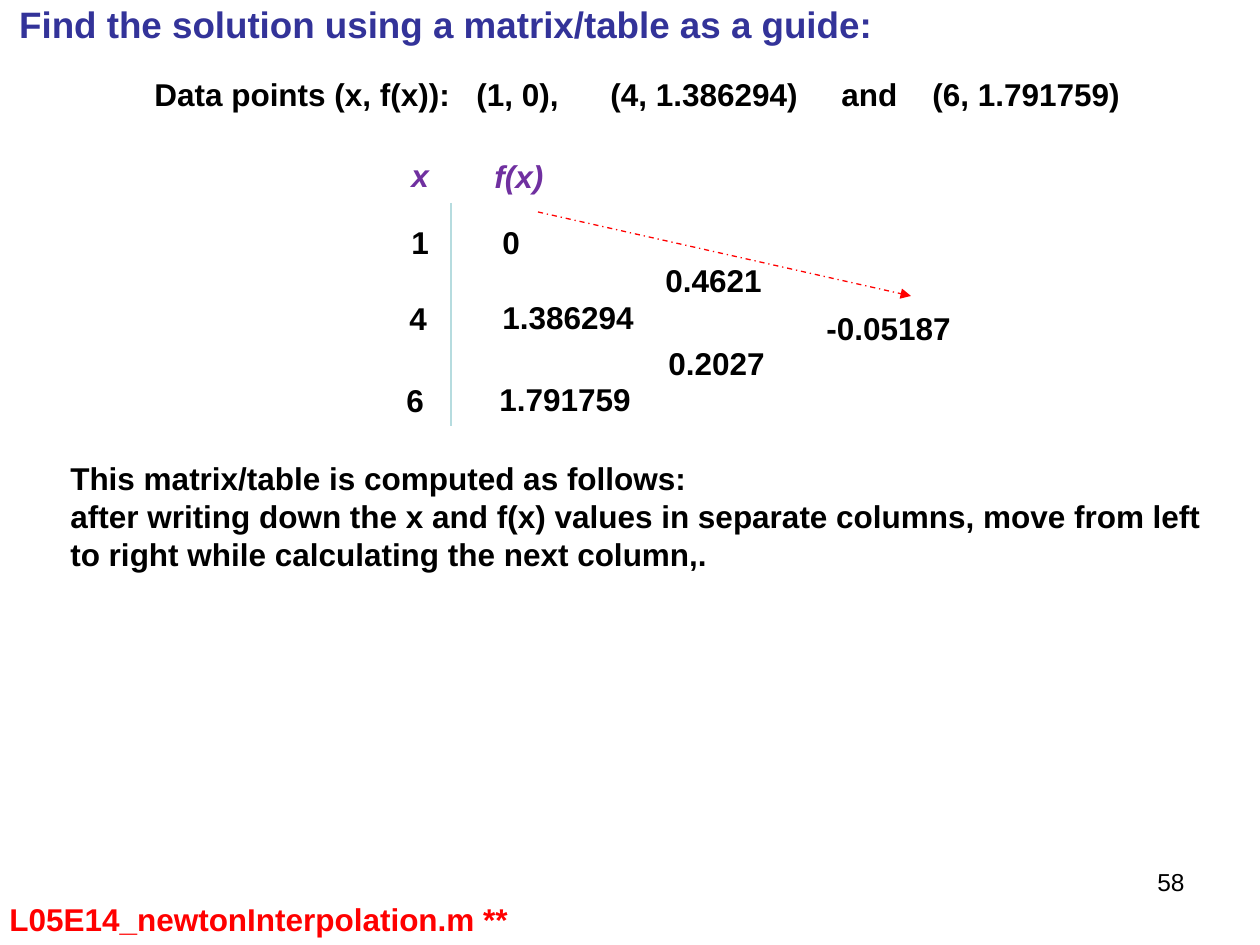
import pptx
import pptx.dml.color
import pptx.enum.dml
import pptx.enum.shapes
import pptx.enum.text
import pptx.oxml.ns
import pptx.util
from lxml import etree

PX = 914400 / 126
COLORS = {
    "title": "333399",
    "text": "000000",
    "header": "7030A0",
    "divider": "B6DCDF",
    "accent": "FF0000",
}
ALIGN = pptx.enum.text.PP_ALIGN


def write(shape, box, text, size=18, color="text", bold=True, italic=False,
          align=ALIGN.LEFT, wrap=False):
    """Place a text shape at box (left, top, width, height in px) and format it."""
    shape.left, shape.top, shape.width, shape.height = (round(v * PX) for v in box)
    frame = shape.text_frame
    frame.text = text
    frame.word_wrap = wrap
    for paragraph in frame.paragraphs:
        paragraph.alignment = align
        for run in paragraph.runs:
            run.font.name = "Arial"
            run.font.size = pptx.util.Pt(size)
            run.font.bold = bold
            run.font.italic = italic
            run.font.color.rgb = pptx.dml.color.RGBColor.from_string(COLORS[color])
    return shape


def draw_line(start, end, color):
    line = slide.shapes.add_connector(
        pptx.enum.shapes.MSO_CONNECTOR.STRAIGHT,
        *(round(v * PX) for v in (*start, *end)))
    line.line.color.rgb = pptx.dml.color.RGBColor.from_string(COLORS[color])
    line.line.width = pptx.util.Pt(0.75)
    etree.SubElement(line._element.spPr, pptx.oxml.ns.qn("a:effectLst"))
    return line


prs = pptx.Presentation()
prs.slide_width = round(1260 * PX)
prs.slide_height = round(945 * PX)
slide = prs.slides.add_slide(prs.slide_layouts[5])
blank_box = (0, 0, 0, 0)

title = write(slide.shapes.title, (2, -5, 888, 57),
              "Find the solution using a matrix/table as a guide:",
              size=21, color="title", align=ALIGN.CENTER)
title.text_frame.vertical_anchor = pptx.enum.text.MSO_ANCHOR.MIDDLE

# Data points, spaced with tab stops
data_points = write(
    slide.shapes.add_textbox(*blank_box), (142, 69, 1010, 50),
    "Data points (x, f(x)):\t(1, 0),\t(4, 1.386294)\tand\t(6, 1.791759)", wrap=True)
properties = data_points.text_frame.paragraphs[0]._p.get_or_add_pPr()
tab_stops = etree.SubElement(properties, pptx.oxml.ns.qn("a:tabLst"))
for offset in (322, 456, 687, 778):
    etree.SubElement(tab_stops, pptx.oxml.ns.qn("a:tab"),
                     pos=str(round(offset * PX)), algn="l")

# Divided difference table: text, left, top, width
headers = [("x", 399, 150, 43), ("f(x)", 482, 151, 74)]
values = [
    ("1", 399, 217, 43), ("4", 397, 293, 43), ("6", 394, 375, 43),
    ("0", 490, 217, 43), ("1.386294", 490, 292, 158), ("1.791759", 487, 374, 158),
    ("0.4621", 653, 255, 122), ("0.2027", 656, 338, 122),
    ("-0.05187", 814, 303, 151),
]
for header, left, top, width in headers:
    write(slide.shapes.add_textbox(*blank_box), (left, top, width, 50), header,
          color="header", italic=True)
for value, left, top, width in values:
    write(slide.shapes.add_textbox(*blank_box), (left, top, width, 50), value)

draw_line((451, 203), (451, 426), "divider")
direction = draw_line((538, 212), (911, 296), "accent")
direction.line.dash_style = pptx.enum.dml.MSO_LINE.DASH_DOT
etree.SubElement(direction.line._get_or_add_ln(), pptx.oxml.ns.qn("a:tailEnd"),
                 type="triangle")

write(slide.shapes.add_textbox(*blank_box), (58, 453, 1162, 127),
      "This matrix/table is computed as follows:\n"
      "after writing down the x and f(x) values in separate columns, "
      "move from left to right while calculating the next column,.", wrap=True)

write(slide.shapes.add_textbox(*blank_box), (903, 861, 294, 66), "58",
      size=14, bold=False, align=ALIGN.RIGHT, wrap=True)
write(slide.shapes.add_textbox(*blank_box), (-3, 894, 541, 50),
      "L05E14_newtonInterpolation.m **", color="accent", wrap=True)

prs.save("out.pptx")
